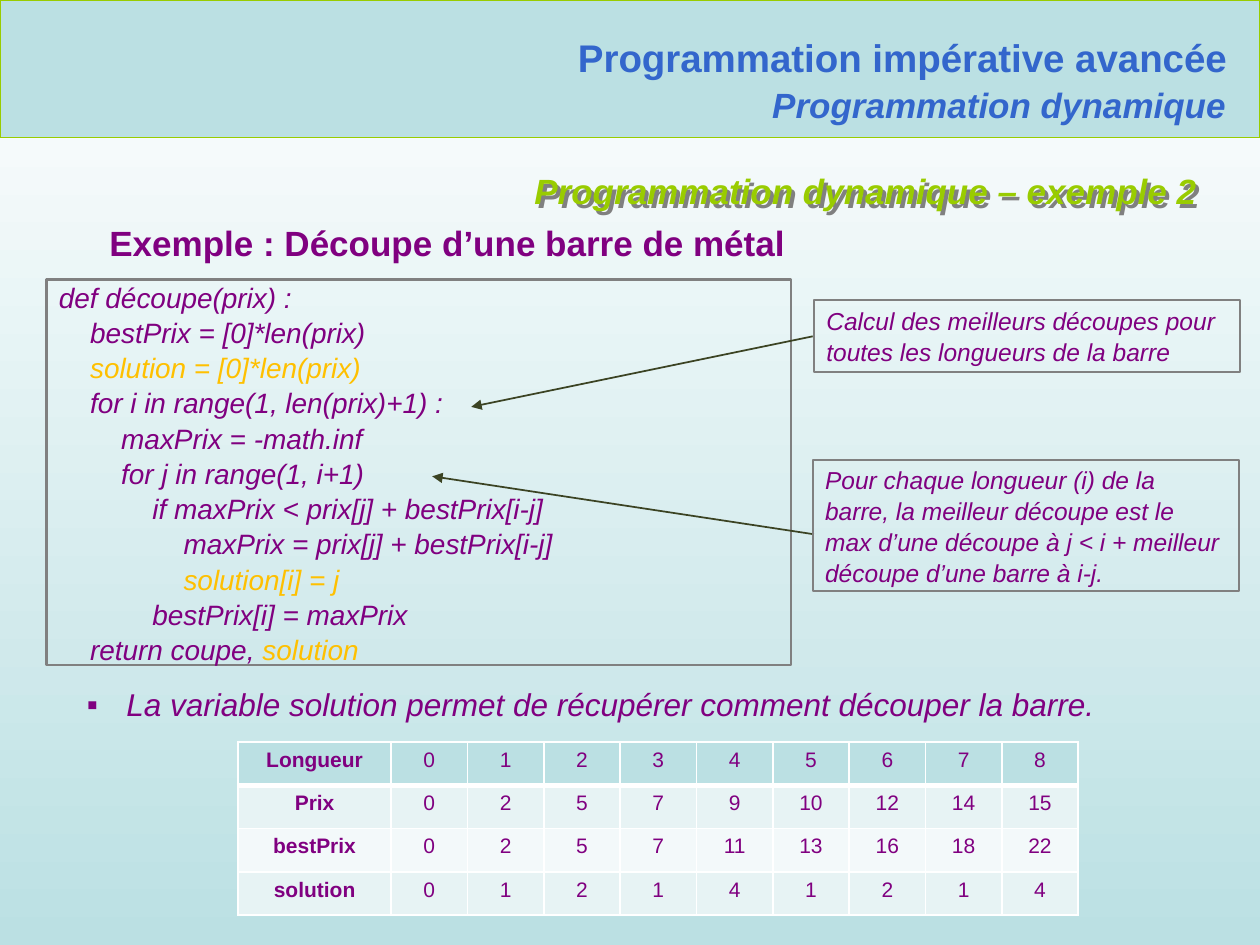
from lxml.etree import SubElement
from pptx import Presentation
from pptx.dml.color import RGBColor
from pptx.enum.dml import MSO_FILL
from pptx.enum.shapes import MSO_CONNECTOR, MSO_SHAPE
from pptx.enum.text import MSO_ANCHOR, MSO_AUTO_SIZE, PP_ALIGN
from pptx.oxml import parse_xml
from pptx.oxml.ns import nsdecls, qn
from pptx.util import Pt

BLUE = RGBColor(0x33, 0x66, 0xCC)
GREEN = RGBColor(0x99, 0xCC, 0x00)
PURPLE = RGBColor(0x80, 0x00, 0x80)
AMBER = RGBColor(0xFF, 0xC0, 0x00)
GRAY = RGBColor(0x80, 0x80, 0x80)
OLIVE = RGBColor(0x3B, 0x43, 0x23)
BLACK = RGBColor(0x00, 0x00, 0x00)
WHITE = RGBColor(0xFF, 0xFF, 0xFF)
AQUA = RGBColor(0xBB, 0xE0, 0xE3)
ODD_ROW = RGBColor(0xE7, 0xF3, 0xF4)
EVEN_ROW = RGBColor(0xF3, 0xF9, 0xFA)

CODE_INDENT = 17.8
CODE = [
    (0, [("def découpe(prix) :", PURPLE)]),
    (1, [("bestPrix = [0]*len(prix)", PURPLE)]),
    (1, [("solution = [0]*len(prix)", AMBER)]),
    (1, [("for i in range(1, len(prix)+1) :", PURPLE)]),
    (2, [("maxPrix = -math.inf", PURPLE)]),
    (2, [("for j in range(1, i+1)", PURPLE)]),
    (3, [("if maxPrix < prix[j] + bestPrix[i-j]", PURPLE)]),
    (4, [("maxPrix = prix[j] + bestPrix[i-j]", PURPLE)]),
    (4, [("solution[i] = j", AMBER)]),
    (3, [("bestPrix[i] = maxPrix", PURPLE)]),
    (1, [("return coupe, ", PURPLE), ("solution", AMBER)]),
]
CALLOUTS = [
    ("Calcul des meilleurs découpes pour toutes les longueurs de la barre",
     (465.1, 171.4, 243.4, 41), (464.4, 192.2), (269.3, 232.5)),
    ("Pour chaque longueur (i) de la barre, la meilleur découpe est le max "
     "d’une découpe à j < i + meilleur découpe d’une barre à i-j.",
     (464.4, 262.8, 243.4, 74.9), (465.1, 305.3), (247, 272.2)),
]
PRICES = [
    ("Longueur", range(9), AQUA),
    ("Prix", (0, 2, 5, 7, 9, 10, 12, 14, 15), ODD_ROW),
    ("bestPrix", (0, 2, 5, 7, 11, 13, 16, 18, 22), EVEN_ROW),
    ("solution", (0, 1, 2, 1, 4, 1, 2, 1, 4), ODD_ROW),
]


def write(paragraph, text, size=16, color=PURPLE, bold=False, italic=False,
          align=PP_ALIGN.LEFT, spacing=1.05):
    """Append a formatted run to a paragraph."""
    paragraph.alignment = align
    paragraph.line_spacing = spacing
    paragraph.space_before = Pt(0)
    run = paragraph.add_run()
    run.text = text
    run.font.name = "Arial"
    run.font.size = Pt(size)
    run.font.color.rgb = color
    run.font.bold = bold
    run.font.italic = italic
    return run


def place(shape, left, top, width, height):
    """Move and size a shape, in points."""
    shape.left, shape.top = Pt(left), Pt(top)
    shape.width, shape.height = Pt(width), Pt(height)


def prepare_frame(shape, wrap=True, anchor=MSO_ANCHOR.TOP):
    """Set wrapping and anchor and return the first paragraph."""
    frame = shape.text_frame
    frame.auto_size = MSO_AUTO_SIZE.NONE
    frame.word_wrap = wrap
    frame.vertical_anchor = anchor
    return frame.paragraphs[0]


def add_label(slide, bounds, text, **text_format):
    """Add a text box holding a single paragraph."""
    label = slide.shapes.add_textbox(*map(Pt, bounds))
    return write(prepare_frame(label), text, **text_format)


def add_panel(slide, bounds, fill=None, outline=GRAY, weight=1.25):
    """Add an outlined rectangle."""
    panel = slide.shapes.add_shape(MSO_SHAPE.RECTANGLE, *map(Pt, bounds))
    panel.shadow.inherit = False
    if fill is None:
        panel.fill.background()
    else:
        panel.fill.solid()
        panel.fill.fore_color.rgb = fill
    panel.line.color.rgb = outline
    panel.line.width = Pt(weight)
    return panel


def add_line(slide, start, end, color, weight, arrow=False):
    """Add a straight line, with an optional arrowhead at its end."""
    line = slide.shapes.add_connector(MSO_CONNECTOR.STRAIGHT, *map(Pt, start + end))
    line.line.color.rgb = color
    line.line.width = Pt(weight)
    if arrow:
        SubElement(line.line._get_or_add_ln(), qn("a:tailEnd"), type="triangle")
    SubElement(line._element.spPr, qn("a:effectLst"))


def add_shadow(properties, color):
    """Append a diagonal outer shadow to shape or run properties."""
    shadow = parse_xml(
        f'<a:effectLst {nsdecls("a")}><a:outerShdw dist="35921" dir="2700000">'
        f'<a:srgbClr val="{color}"/></a:outerShdw></a:effectLst>')
    fill = properties.find(qn("a:solidFill"))
    if fill is None:
        properties.append(shadow)
    else:
        fill.addnext(shadow)


def add_header(slide):
    """Add the course banner."""
    add_panel(slide, (0, 0, 720, 78.5), AQUA, GREEN, 0.75)
    course = add_label(slide, (318.2, 14.4, 390.2, 33.8),
                       "Programmation impérative avancée", size=22, color=BLUE,
                       bold=True, align=PP_ALIGN.RIGHT)
    add_shadow(course.font._element, BLACK)
    add_label(slide, (432, 43.2, 275.8, 31.7), "Programmation dynamique", size=20,
              color=BLUE, bold=True, italic=True, align=PP_ALIGN.RIGHT)
    add_line(slide, (24.5, 78.5), (702.7, 78.5), GREEN, 0.75)


def fill_placeholders(slide):
    """Write the slide title and the bullet on the solution variable."""
    title, remark = slide.placeholders
    place(title, 296.6, 92.2, 394.6, 31.7)
    write(prepare_frame(title), "Programmation dynamique – exemple 2", size=20,
          color=GREEN, bold=True, italic=True, align=PP_ALIGN.RIGHT)
    add_shadow(title._element.spPr, GRAY)
    place(remark, 24.5, 387, 640.8, 30)
    bullet = prepare_frame(remark)
    write(bullet, "La variable solution permet de récupérer comment découper la barre.",
          size=18, italic=True)
    properties = bullet._p.get_or_add_pPr()
    properties.set("marL", str(Pt(40.5)))
    properties.set("indent", str(Pt(-22.5)))
    SubElement(properties, qn("a:buFont"), typeface="Arial")
    SubElement(properties, qn("a:buChar"), char="▪")


def add_code(slide):
    """Add the framed listing, indented by level."""
    listing = add_panel(slide, (26.6, 159.8, 425.5, 220.3))
    paragraph = prepare_frame(listing, anchor=MSO_ANCHOR.MIDDLE)
    for number, (level, parts) in enumerate(CODE):
        if number:
            paragraph = listing.text_frame.add_paragraph()
        paragraph._p.get_or_add_pPr().set("marL", str(Pt(level * CODE_INDENT)))
        for text, color in parts:
            write(paragraph, text, color=color, italic=True)


def add_callout(slide, text, bounds, start, end):
    """Add a framed comment and its arrow to the code."""
    add_line(slide, start, end, OLIVE, 1, arrow=True)
    comment = add_panel(slide, bounds)
    write(prepare_frame(comment, anchor=MSO_ANCHOR.MIDDLE), text, size=14, italic=True)


def set_borders(cell, top, bottom):
    """Draw white borders around a cell."""
    properties = cell._tc.get_or_add_tcPr()
    for index, (side, weight) in enumerate(zip("LRTB", (1, 1, top, bottom))):
        properties.insert(index, parse_xml(
            f'<a:ln{side} {nsdecls("a")} w="{Pt(weight)}"><a:solidFill>'
            f'<a:srgbClr val="{WHITE}"/></a:solidFill></a:ln{side}>'))


def add_price_table(slide):
    """Add the table of prices and best cuts by length."""
    prices = slide.shapes.add_table(4, 10, Pt(136.1), Pt(424.1), Pt(480.2), Pt(98.8)).table
    for index, column in enumerate(prices.columns):
        column.width = Pt(43.65 if index else 87.4)
    for row, (heading, values, fill) in enumerate(PRICES):
        prices.rows[row].height = Pt(24.7)
        for column, value in enumerate((heading, *values)):
            cell = prices.cell(row, column)
            cell.fill.solid()
            cell.fill.fore_color.rgb = fill
            set_borders(cell, top=3 if row == 1 else 1, bottom=3 if row == 0 else 1)
            write(cell.text_frame.paragraphs[0], str(value), size=12,
                  bold=column == 0, align=PP_ALIGN.CENTER, spacing=1.0)


def set_background(slide):
    """Fade the background from white down to aqua."""
    fill = slide.background.fill
    fill.gradient()
    fill.gradient_angle = 270
    for stop, color in zip(fill.gradient_stops, (WHITE, AQUA)):
        stop.color.rgb = color


def main():
    """Build and save the slide."""
    deck = Presentation()
    deck.slide_width, deck.slide_height = Pt(720), Pt(540)
    slide = deck.slides.add_slide(deck.slide_layouts[1])
    set_background(slide)
    fill_placeholders(slide)
    add_header(slide)
    add_label(slide, (55.4, 121.7, 640.8, 31.7), "Exemple : Découpe d’une barre de métal",
              size=20, bold=True, align=PP_ALIGN.JUSTIFY)
    add_code(slide)
    for callout in CALLOUTS:
        add_callout(slide, *callout)
    add_price_table(slide)
    deck.save("out.pptx")


if __name__ == "__main__":
    main()
